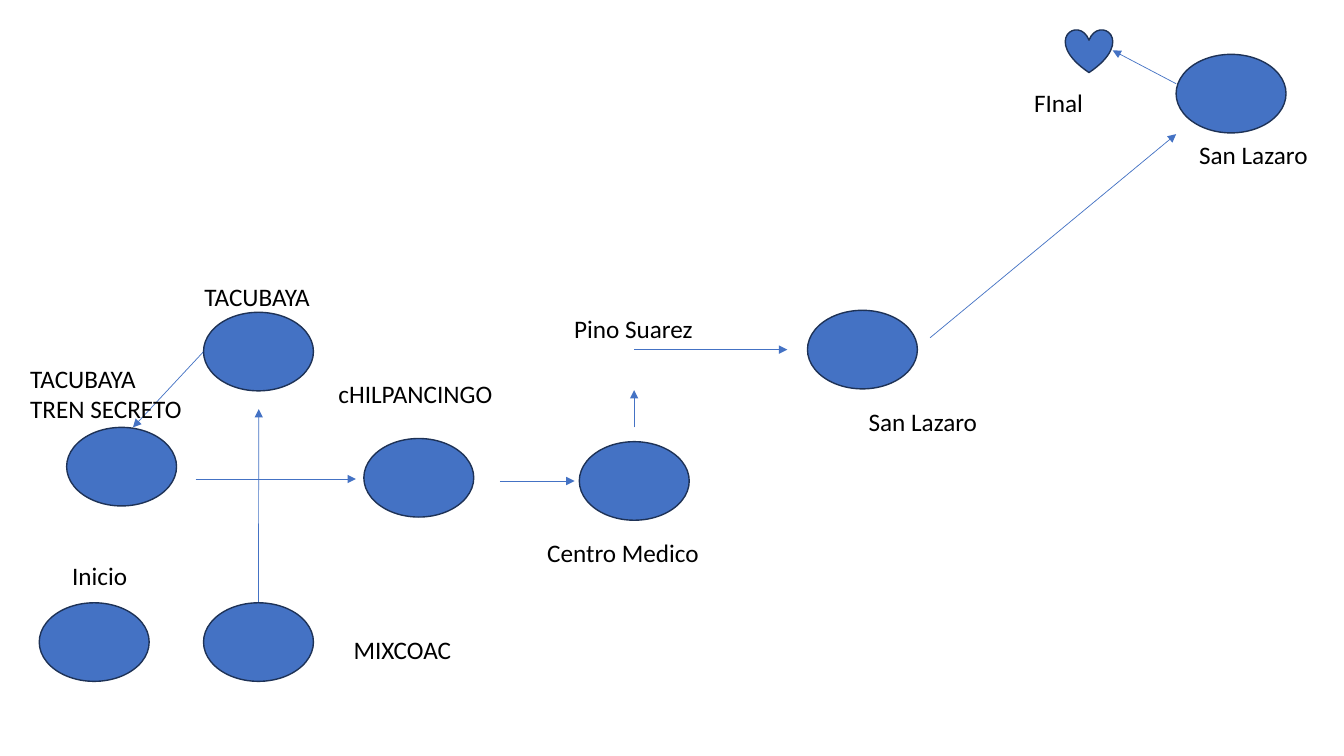
from lxml import etree
from pptx import Presentation
from pptx import util as u
from pptx.dml.color import RGBColor
from pptx.enum import shapes, text
from pptx.oxml.ns import qn

COLORS = {"blue": "4472C4", "outline": "1E3256", "text": "000000"}
STATION_W, STATION_H = 2.77, 1.98
LINE_H = 0.78


def color(name):
    return RGBColor.from_string(COLORS[name])


def add_marker(s, kind, x, y, w=STATION_W, h=STATION_H):
    sp = s.shapes.add_shape(kind, u.Cm(x), u.Cm(y), u.Cm(w), u.Cm(h))
    sp.shadow.inherit = False
    sp.fill.solid()
    sp.fill.fore_color.rgb = color("blue")
    sp.line.color.rgb = color("outline")
    sp.line.width = u.Pt(1)
    return sp


def add_label(s, words, x, y, w):
    h = 0.25 + LINE_H * len(words.split("\n"))
    tf = s.shapes.add_textbox(u.Cm(x), u.Cm(y), u.Cm(w), u.Cm(h)).text_frame
    tf.word_wrap = False
    tf.auto_size = text.MSO_AUTO_SIZE.SHAPE_TO_FIT_TEXT
    tf.text = words
    for p in tf.paragraphs:
        for r in p.runs:
            r.font.name = "Calibri"
            r.font.size = u.Pt(18)
            r.font.color.rgb = color("text")


def add_station(s, x, y, name, dx, dy, w):
    """Place a station and its label, offset by dx, dy from the station."""
    sp = add_marker(s, shapes.MSO_SHAPE.OVAL, x, y)
    add_label(s, name, x + dx, y + dy, w)
    return sp


def add_arrow(s, x1, y1, x2, y2):
    line = s.shapes.add_connector(shapes.MSO_CONNECTOR.STRAIGHT,
                                  u.Cm(x1), u.Cm(y1), u.Cm(x2), u.Cm(y2))
    line.line.color.rgb = color("blue")
    line.line.width = u.Pt(0.5)
    etree.SubElement(line.line._get_or_add_ln(), qn("a:tailEnd"), type="triangle")
    etree.SubElement(line._element.spPr, qn("a:effectLst"))
    return line


def add_route(s, x, y):
    """Stations from the start to the first San Lazaro."""
    # Arrows between stations
    for x1, y1, x2, y2 in [
        (4.63, 1.96, 2.85, 3.87),
        (4.43, 5.17, 8.47, 5.17),
        (12.1, 5.22, 13.98, 5.22),
        (15.48, 3.87, 15.48, 2.93),
        (15.48, 1.91, 19.34, 1.91),
    ]:
        add_arrow(s, x + x1, y + y1, x + x2, y + y2)
    up = add_arrow(s, x + 6.02, y + 8.29, x + 6.02, y + 3.41)

    # Stations: position, name, label offset and width
    stations = {}
    for left, top, name, dx, dy, w in [
        (0.49, 8.29, "Inicio", 0.58, -1.19, 1.9),
        (4.63, 8.29, "MIXCOAC", 3.53, 0.66, 3),
        (4.63, 0.97, "TACUBAYA", -0.23, -0.91, 3.2),
        (1.18, 3.87, "TACUBAYA\nTREN SECRETO", -1.17, -1.75, 4.37),
        (8.67, 4.15, "cHILPANCINGO", -0.89, -1.65, 4.42),
        (14.1, 4.23, "Centro Medico", -1.06, 2.28, 4.37),
        (19.85, 0.92, "San Lazaro", 1.29, 2.29, 3.28),
    ]:
        stations[name] = add_station(s, x + left, y + top, name, dx, dy, w)
    up.begin_connect(stations["MIXCOAC"], 0)
    add_label(s, "Pino Suarez", x + 13.72, y + 0.87, 3.53)


def add_finale(s, x, y):
    """Last leg, from San Lazaro to the heart."""
    add_arrow(s, x + 0.04, y + 7.81, x + 6.24, y + 2.68)
    add_arrow(s, x + 6.24, y + 1.41, x + 4.64, y + 0.57)
    add_station(s, x + 6.24, y + 0.67, "San Lazaro", 0.33, 2.01, 3.28)
    add_marker(s, shapes.MSO_SHAPE.HEART, x + 3.45, y + 0.04, 1.19, 1.09)
    add_label(s, "FInal", x + 2.41, y + 1.38, 1.75)


def main():
    prs = Presentation()
    prs.slide_width, prs.slide_height = u.Cm(33.87), u.Cm(19.05)
    s = prs.slides.add_slide(prs.slide_layouts[6])
    add_route(s, 0.5, 6.9)
    add_finale(s, 23.4, 0.7)
    prs.save("out.pptx")


if __name__ == "__main__":
    main()
